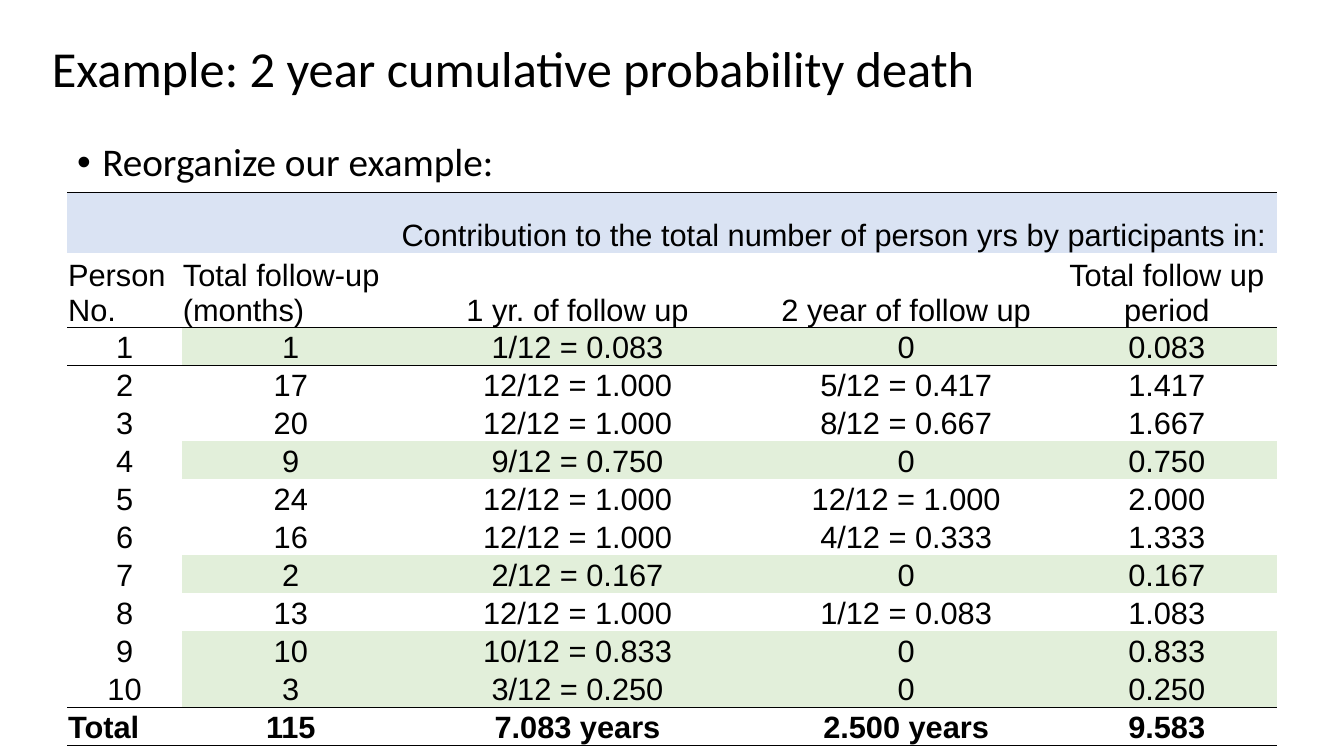
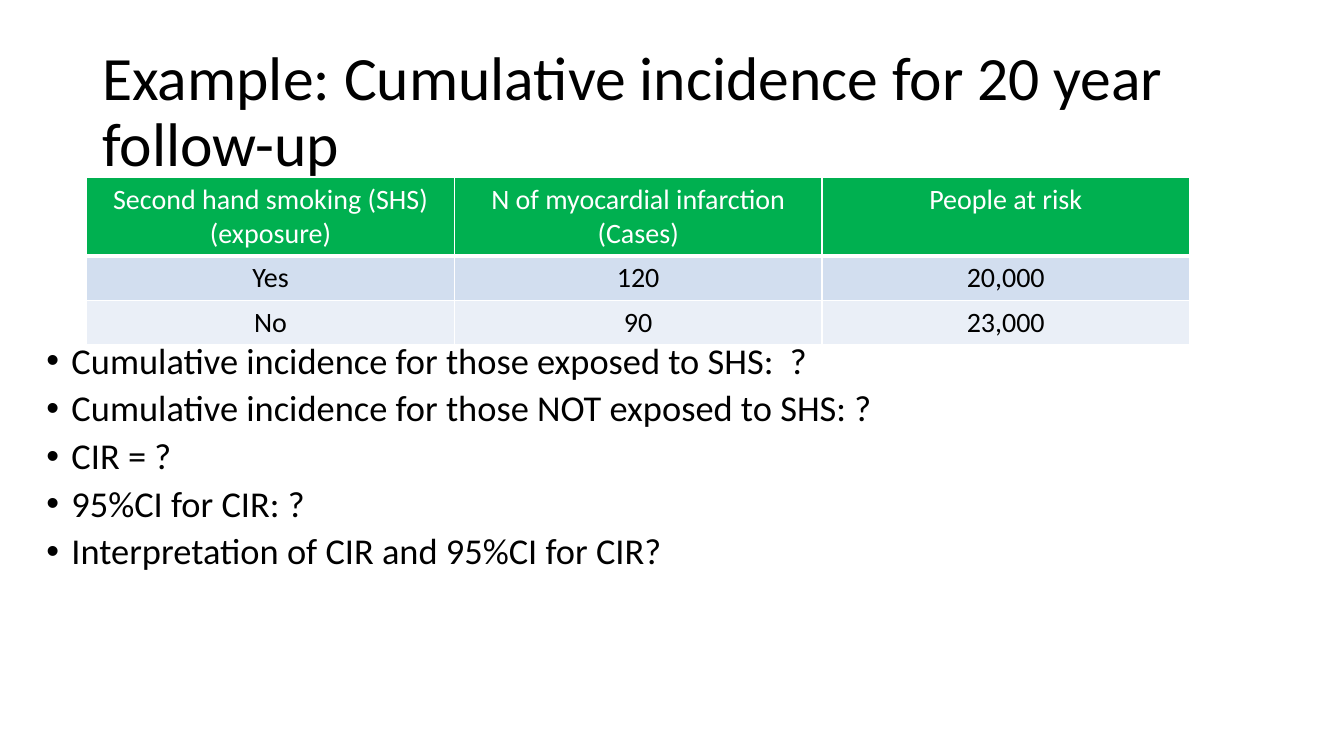
from dataclasses import dataclass
from typing import NamedTuple

from lxml.etree import SubElement
from pptx import Presentation
from pptx.dml.color import RGBColor as RGB
from pptx.enum.text import MSO_ANCHOR as Anchor, PP_ALIGN as Align
from pptx.oxml.ns import qn
from pptx.slide import Slide
from pptx.table import Table, _Cell as Cell
from pptx.text.text import TextFrame, _Paragraph as Paragraph
from pptx.util import Pt


# Theme: colours, fonts and type sizes
@dataclass(frozen=True)
class Theme:
    ink: str = "000000"
    white: str = "FFFFFF"
    band_blue: str = "DAE3F3"
    band_green: str = "E2EFDA"
    header_green: str = "00B050"
    row_dark: str = "D2DEEF"
    row_light: str = "EAEFF7"
    text_font: str = "Calibri"
    figure_font: str = "Arial"
    title_small: float = 36
    title_large: float = 44
    body_large: float = 28
    body_small: float = 26
    figures: float = 22
    cases: float = 20
    line_spacing: float = 0.9
    hairline: float = 0.5
    rule: float = 1
    heavy_rule: float = 3
    no_table_style: str = "{2D5ABB26-0587-4C30-8999-92F81FD0307C}"


THEME = Theme()


class Box(NamedTuple):
    left: float
    top: float
    width: float
    height: float


class Border(NamedTuple):
    side: str  # L, R, T or B
    colour: str
    width: float


class Margins(NamedTuple):
    left: float
    top: float
    right: float
    bottom: float


@dataclass(frozen=True)
class CellStyle:
    font: str
    size: float
    colour: str = THEME.ink
    fill: str | None = None
    bold: bool = False
    align: Align = Align.CENTER
    anchor: Anchor = Anchor.TOP
    margins: Margins = Margins(7.2, 3.6, 7.2, 3.6)
    borders: tuple[Border, ...] = ()


# Text
def style_paragraph(paragraph: Paragraph, font: str, size: float,
                    colour: str, bold: bool = False) -> None:
    paragraph.font.name = font
    paragraph.font.size = Pt(size)
    paragraph.font.bold = bold
    paragraph.font.color.rgb = RGB.from_string(colour)


def add_text_frame(slide: Slide, box: Box, anchor: Anchor) -> TextFrame:
    frame = slide.shapes.add_textbox(*map(Pt, box)).text_frame
    frame.word_wrap = True
    frame.vertical_anchor = anchor
    return frame


def add_title(slide: Slide, box: Box, title: str, size: float) -> None:
    paragraph = add_text_frame(slide, box, Anchor.MIDDLE).paragraphs[0]
    paragraph.text = title
    paragraph.line_spacing = THEME.line_spacing
    style_paragraph(paragraph, THEME.text_font, size, THEME.ink)


def add_bullets(slide: Slide, box: Box, points: list[str], size: float,
                space_before: float) -> None:
    frame = add_text_frame(slide, box, Anchor.TOP)
    frame.text = "\n".join(points)
    for paragraph in frame.paragraphs:
        paragraph.line_spacing = THEME.line_spacing
        paragraph.space_before = Pt(space_before)
        properties = paragraph._p.get_or_add_pPr()
        properties.set("marL", str(Pt(18)))
        properties.set("indent", str(Pt(-18)))
        SubElement(properties, qn("a:buFont")).set("typeface", "Arial")
        SubElement(properties, qn("a:buChar")).set("char", "•")
        style_paragraph(paragraph, THEME.text_font, size, THEME.ink)


# Tables
def add_plain_table(slide: Slide, left: float, top: float,
                    columns: list[float], rows: list[float]) -> Table:
    frame = slide.shapes.add_table(
        len(rows), len(columns), Pt(left), Pt(top), Pt(sum(columns)), Pt(sum(rows)))
    table = frame.table
    table.first_row = table.horz_banding = False
    table._tbl.tblPr.find(qn("a:tableStyleId")).text = THEME.no_table_style
    for column, width in zip(table.columns, columns):
        column.width = Pt(width)
    for row, height in zip(table.rows, rows):
        row.height = Pt(height)
    return table


def fill_cell(cell: Cell, content: str, style: CellStyle) -> None:
    cell.vertical_anchor = style.anchor
    (cell.margin_left, cell.margin_top,
     cell.margin_right, cell.margin_bottom) = map(Pt, style.margins)
    # The schema wants borders in the order L, R, T, B, ahead of the fill
    properties = cell._tc.get_or_add_tcPr()
    for border in sorted(style.borders, key=lambda b: "LRTB".index(b.side)):
        line = SubElement(properties, qn(f"a:ln{border.side}"), w=str(Pt(border.width)))
        solid = SubElement(line, qn("a:solidFill"))
        SubElement(solid, qn("a:srgbClr"), val=border.colour)
    if style.fill:
        cell.fill.solid()
        cell.fill.fore_color.rgb = RGB.from_string(style.fill)
    else:
        cell.fill.background()
    cell.text_frame.text = content
    for paragraph in cell.text_frame.paragraphs:
        paragraph.alignment = style.align
        style_paragraph(paragraph, style.font, style.size, style.colour, style.bold)


# Slide 1: person-years, worked out from each person's follow-up in months
FOLLOW_UP_MONTHS = [1, 17, 20, 9, 24, 16, 2, 13, 10, 3]
YEAR = 12


def years(months: int) -> str:
    return f"{months / YEAR:.3f}"


def contribution(months: int) -> str:
    return f"{months}/{YEAR} = {years(months)}" if months else "0"


def person_year_rows() -> list[list[str]]:
    first = [min(months, YEAR) for months in FOLLOW_UP_MONTHS]
    second = [months - year for months, year in zip(FOLLOW_UP_MONTHS, first)]
    total = sum(FOLLOW_UP_MONTHS)
    heading = ["", "", "Contribution to the total number of person yrs by participants in: ", "", ""]
    labels = ["Person No.", "Total follow-up (months)", "1 yr. of follow up",
              "2 year of follow up", "Total follow up period"]
    persons = [[str(number), str(months), contribution(a), contribution(b), years(months)]
               for number, (months, a, b) in enumerate(zip(FOLLOW_UP_MONTHS, first, second), 1)]
    totals = ["Total", str(total), f"{years(sum(first))} years",
              f"{years(sum(second))} years", years(total)]
    return [heading, labels, *persons, totals]


def person_year_style(row: int, column: int, last: int) -> CellStyle:
    fill = None
    if row == 0:
        fill = THEME.band_blue
    elif 1 < row < last and column > 0 and FOLLOW_UP_MONTHS[row - 2] < YEAR:
        fill = THEME.band_green
    sides = ("T" if row in (0, 2, last) else "") + ("B" if row in (1, last - 1, last) else "")
    left_aligned = (row == 1 and column < 2) or (row == last and column == 0)
    return CellStyle(
        THEME.figure_font, THEME.figures, fill=fill, bold=row == last,
        align=Align.LEFT if left_aligned else Align.CENTER,
        anchor=Anchor.BOTTOM, margins=Margins(0.7, 0.7, 0.7, 0),
        borders=tuple(Border(side, THEME.ink, THEME.hairline) for side in sides))


def build_probability_slide(slide: Slide) -> None:
    add_title(slide, Box(30, 20, 900, 62),
              "Example: 2 year cumulative probability death", THEME.title_small)
    add_bullets(slide, Box(48, 98.6, 864, 384), ["Reorganize our example:"],
                THEME.body_large, space_before=10)
    rows = person_year_rows()
    last = len(rows) - 1
    person_years = add_plain_table(
        slide, 48, 137.3, [82, 155.5, 254.2, 215.3, 157],
        [43.2, 49.5] + [25.2] * (last - 1))
    for r, row in enumerate(rows):
        for c, content in enumerate(row):
            fill_cell(person_years.cell(r, c), content, person_year_style(r, c, last))
    person_years.cell(0, 2).merge(person_years.cell(0, 4))


# Slide 2: cases by exposure
CASES = [
    ["Second hand smoking (SHS)\n(exposure)", "N of myocardial infarction (Cases)", "People at risk"],
    ["Yes", "120", "20,000"],
    ["No", "90", "23,000"],
]
QUESTIONS = [
    "Cumulative incidence for those exposed to SHS:  ?",
    "Cumulative incidence for those NOT exposed to SHS: ?",
    "CIR = ?",
    "95%CI for CIR: ?",
    "Interpretation of CIR and 95%CI for CIR?",
]


def case_style(row: int) -> CellStyle:
    widths = {"L": THEME.rule, "R": THEME.rule,
              "T": THEME.heavy_rule if row == 1 else THEME.rule,
              "B": THEME.heavy_rule if row == 0 else THEME.rule}
    return CellStyle(
        THEME.text_font, THEME.cases, colour=THEME.ink if row else THEME.white,
        fill=(THEME.header_green, THEME.row_dark, THEME.row_light)[row],
        borders=tuple(Border(side, THEME.white, width) for side, width in widths.items()))


def build_incidence_slide(slide: Slide) -> None:
    add_title(slide, Box(66, 28.8, 828, 104.4),
              "Example: Cumulative incidence for 20 year follow-up", THEME.title_large)
    add_bullets(slide, Box(26, 241.2, 900, 260), QUESTIONS,
                THEME.body_small, space_before=6)
    cases = add_plain_table(slide, 62, 127, [262.6] * 3, [56, 31.6, 31.6])
    for r, row in enumerate(CASES):
        for c, content in enumerate(row):
            fill_cell(cases.cell(r, c), content, case_style(r))


def main() -> None:
    deck = Presentation()
    deck.slide_width, deck.slide_height = Pt(960), Pt(540)
    blank = deck.slide_layouts[6]
    for build in (build_probability_slide, build_incidence_slide):
        build(deck.slides.add_slide(blank))
    deck.save("out.pptx")


if __name__ == "__main__":
    main()
